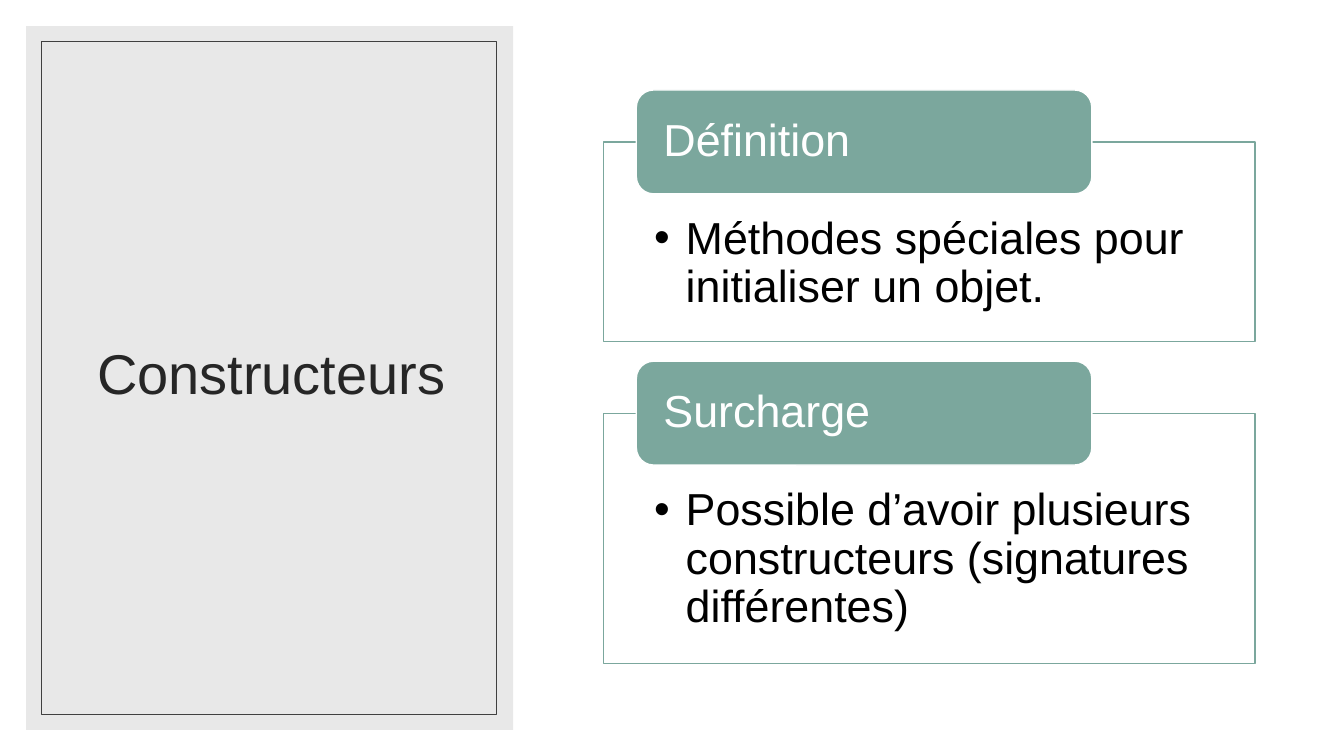
"""Builds the slide on constructors: a title panel and two captioned boxes."""
from lxml.etree import SubElement
from pptx import Presentation
from pptx.dml.color import RGBColor
from pptx.enum.shapes import MSO_SHAPE as SHAPE
from pptx.enum.text import MSO_ANCHOR as ANCHOR, MSO_AUTO_SIZE as AUTO, PP_ALIGN as ALIGN
from pptx.oxml.ns import qn
from pptx.util import Pt

WHITE = RGBColor(0xFF, 0xFF, 0xFF)
BLACK = RGBColor(0x00, 0x00, 0x00)
GREEN = RGBColor(0x7B, 0xA7, 0x9D)
PANEL_GREY = RGBColor(0xD9, 0xD9, 0xD9)
FRAME_GREY = RGBColor(0x40, 0x40, 0x40)
TITLE_GREY = RGBColor(0x26, 0x26, 0x26)

SECTIONS = [
    ("Définition", "Méthodes spéciales pour initialiser un objet.", 101.5, 142.6),
    ("Surcharge", "Possible d’avoir plusieurs constructeurs (signatures différentes)", 295.2, 178.6),
]


def write(sp, text, size=32, color=BLACK, align=ALIGN.LEFT, anchor=ANCHOR.TOP,
          margins=(7.2, 3.6, 7.2, 3.6), bullet=None, indent=22.5):
    tf = sp.text_frame
    tf.text = text
    tf.word_wrap = True
    tf.auto_size = AUTO.NONE
    tf.vertical_anchor = anchor
    tf.margin_left, tf.margin_top, tf.margin_right, tf.margin_bottom = map(Pt, margins)
    p = tf.paragraphs[0]
    if bullet:
        pPr = p._p.get_or_add_pPr()
        pPr.set("marL", str(Pt(indent)))
        pPr.set("indent", str(-Pt(indent)))
        SubElement(pPr, qn("a:buChar")).set("char", bullet)
    p.alignment = align
    p.line_spacing = 0.9
    p.space_before = Pt(0)
    font = p.runs[0].font
    font.name, font.size, font.color.rgb = "Arial", Pt(size), color


class SlideBuilder:
    def __init__(self, prs, font_color=TITLE_GREY):
        self.font_color = font_color
        self.s = prs.slides.add_slide(prs.slide_layouts[3])

    def place(self, sp, left, top, width, height):
        sp.left, sp.top, sp.width, sp.height = map(Pt, (left, top, width, height))

    def paint(self, sp, fill=None, alpha=None, line=None, weight=1):
        if fill is None:
            sp.fill.background()
        else:
            sp.fill.solid()
            sp.fill.fore_color.rgb = fill
            if alpha is not None:
                clr = sp.fill._xPr.find(".//" + qn("a:srgbClr"))
                SubElement(clr, qn("a:alpha")).set("val", str(alpha * 1000))
        if line is None:
            sp.line.fill.background()
        else:
            sp.line.color.rgb = line
            sp.line.width = Pt(weight)

    def shape(self, kind, box, **look):
        sp = self.s.shapes.add_shape(kind, *map(Pt, box))
        sp.shadow.inherit = False
        self.paint(sp, **look)
        return sp

    def title(self, text, box):
        sp = self.s.shapes.title
        self.place(sp, *box)
        write(sp, text, size=40, color=self.font_color, align=ALIGN.CENTER, anchor=ANCHOR.MIDDLE)
        sp.element.getparent().append(sp.element)

    def section(self, index, heading, text, top, height):
        sp = self.s.placeholders[index]
        self.place(sp, 431.3, top, 465.1, height)
        self.paint(sp, fill=WHITE, alpha=90, line=GREEN)
        write(sp, text, margins=(36, 52.6, 36, 18), bullet="•")
        tab = self.shape(SHAPE.ROUNDED_RECTANGLE, (454.5, top - 37.2, 325.4, 74.2),
                         fill=GREEN, line=WHITE)
        write(tab, heading, color=WHITE, anchor=ANCHOR.MIDDLE, margins=(15.8, 0, 15.8, 0))


def main():
    prs = Presentation()
    prs.slide_width, prs.slide_height = Pt(960), Pt(540)
    slide = SlideBuilder(prs)
    slide.shape(SHAPE.RECTANGLE, (18.7, 18.7, 347.8, 502.6), fill=PANEL_GREY, alpha=60)
    slide.title("Constructeurs", (45.4, 43.9, 296.6, 449.3))
    slide.shape(SHAPE.RECTANGLE, (29.5, 29.5, 324.7, 481), line=FRAME_GREY, weight=0.5)
    for index, section in enumerate(SECTIONS, start=1):
        slide.section(index, *section)
    prs.save("out.pptx")


if __name__ == "__main__":
    main()
